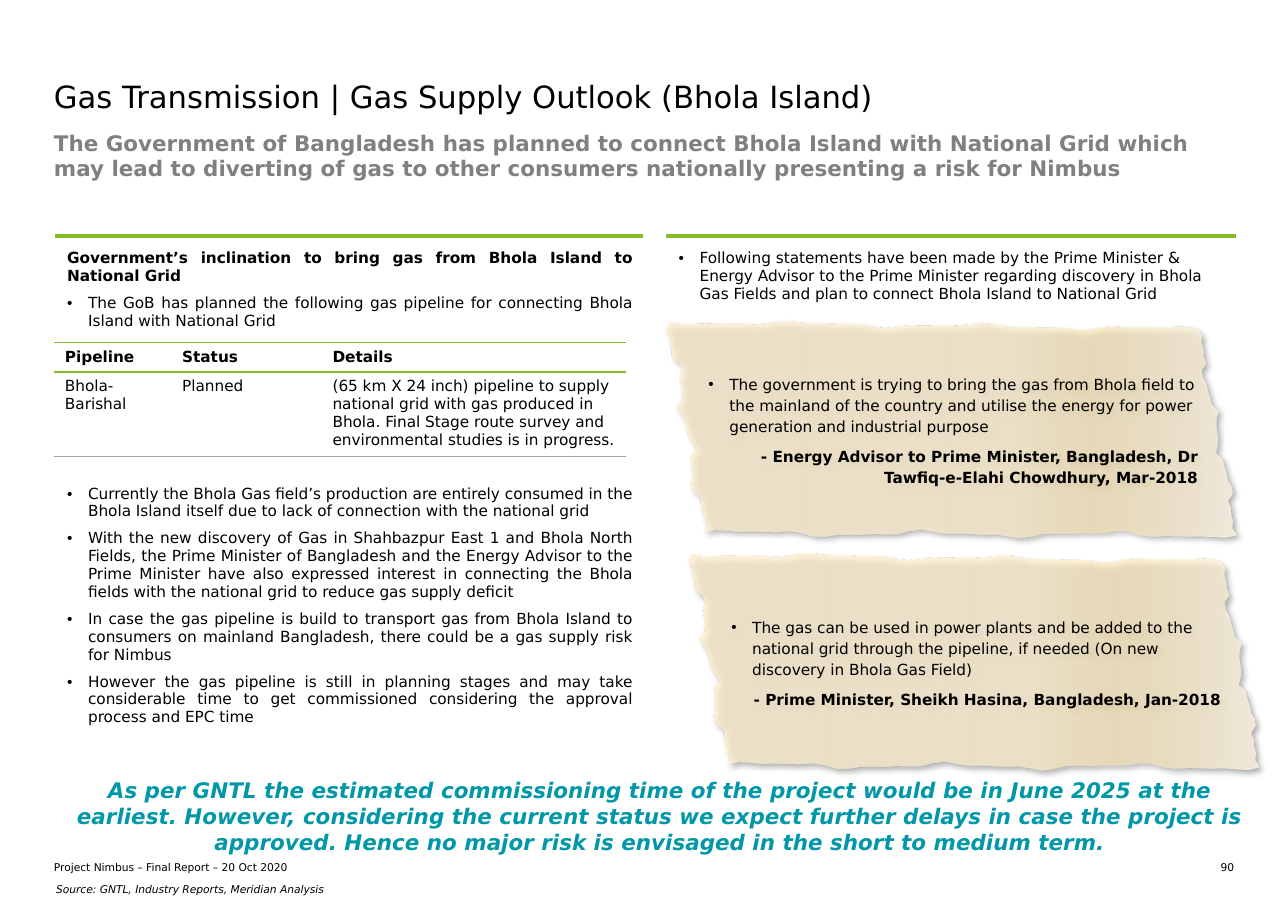
import math

import pptx
import pptx.util
import pptx.dml.color
import pptx.enum.text
import pptx.oxml
import pptx.oxml.ns

Pt = pptx.util.Pt
Inches = pptx.util.Inches
ALIGN = pptx.enum.text.PP_ALIGN
ANCHOR = pptx.enum.text.MSO_ANCHOR
FONT = "DejaVu Sans"
COLORS = {
    "text": "000000", "subtitle": "808080", "rule": "86BC25", "edge": "FFFFFF",
    "thin": "A5A5A5", "takeaway": "0097A9", "shadow": "000000",
    "paper": "FFF0CE", "fold": "FFE8B0", "light": "FFF7E7",
}
PAPER_STOPS = [("paper", 61, 73), ("fold", 75, 58), ("light", 100, 80)]
PAPER_CORNERS = [(0.01, 0.02), (0.93, 0.05), (1, 0.97), (0.07, 0.96)]
TEAR_STEPS = [44, 30, 44, 30]
TEAR_DEPTHS = [0.015, 0.01, 0.02, 0.013]
PIPELINE_COLUMNS = (0.205, 0.263, 0.532)
PIPELINE_ROWS = (0.26, 0.74)
PIPELINE_GAP = 95.4

prs = pptx.Presentation()
prs.slide_width = Inches(11.69)
prs.slide_height = Inches(8.27)


def within(box, x, y, w, h):
    left, top, width, height = box
    return (int(left + width * x), int(top + height * y), int(width * w), int(height * h))


SLIDE = (0, 0, prs.slide_width, prs.slide_height)


def share(x, y, w, h):
    return within(SLIDE, x / 100, y / 100, w / 100, h / 100)


def element(xml):
    return pptx.oxml.parse_xml(f'<a:part {pptx.oxml.ns.nsdecls("a")}>{xml}</a:part>')[0]


def rgb(color, alpha=100):
    return f'<a:srgbClr val="{COLORS[color]}"><a:alpha val="{alpha * 1000}"/></a:srgbClr>'


def fill_paragraph(p, text, size=10, color="text", bold=False, italic=False, align=ALIGN.LEFT,
                   before=0, after=0, line=None, bullet=False):
    p.alignment = align
    p.space_before, p.space_after = Pt(before), Pt(after)
    if line:
        p.line_spacing = line
    if bullet:
        pPr = p._p.get_or_add_pPr()
        pPr.set("marL", str(Inches(0.19)))
        pPr.set("indent", str(-Inches(0.19)))
        pPr.append(element('<a:buFont typeface="Arial"/>'))
        pPr.append(element('<a:buChar char="•"/>'))
    r = p.add_run()
    r.text = text
    r.font.name, r.font.size = FONT, Pt(size)
    r.font.bold, r.font.italic = bold, italic
    r.font.color.rgb = pptx.dml.color.RGBColor.from_string(COLORS[color])


def write(tf, items):
    for i, (text, style) in enumerate(items):
        p = tf.add_paragraph() if i else tf.paragraphs[0]
        fill_paragraph(p, text, **style)


def set_margins(holder, left, top, right, bottom):
    holder.margin_left, holder.margin_top = Inches(left), Inches(top)
    holder.margin_right, holder.margin_bottom = Inches(right), Inches(bottom)


def label(s, box, text, margins=(0, 0, 0, 0), anchor=ANCHOR.TOP, **style):
    tf = s.shapes.add_textbox(*box).text_frame
    tf.word_wrap = True
    tf.vertical_anchor = anchor
    set_margins(tf, *margins)
    write(tf, [(text, style)])


def borders(cell, lines):
    cell.fill.background()
    tcPr = cell._tc.get_or_add_tcPr()
    for i, (side, color, width) in enumerate(lines):
        paint = f"<a:solidFill>{rgb(color)}</a:solidFill>" if color else "<a:noFill/>"
        tcPr.insert(i, element(f'<a:ln{side} w="{Pt(width)}">{paint}</a:ln{side}>'))


def plain_table(s, box, rows, cols):
    table = s.shapes.add_table(rows, cols, *box).table
    table.first_row = table.horz_banding = False
    return table


def panel(s, box, items):
    cell = plain_table(s, box, 1, 1).cell(0, 0)
    borders(cell, [("L", "edge", 1), ("R", "edge", 1), ("T", "rule", 3), ("B", "edge", 3)])
    set_margins(cell, 0.12, 0.12, 0.1, 0.05)
    write(cell.text_frame, items)


def pipeline_table(s, box, rows):
    table = plain_table(s, box, len(rows), len(rows[0]))
    for col, part in zip(table.columns, PIPELINE_COLUMNS):
        col.width = int(box[2] * part)
    for row, part in zip(table.rows, PIPELINE_ROWS):
        row.height = int(box[3] * part)
    for i, texts in enumerate(rows):
        bottom = ("B", "thin", 0.5) if i else ("B", "rule", 1.25)
        for j, text in enumerate(texts):
            cell = table.cell(i, j)
            borders(cell, [("L", None, 0), ("R", None, 0), ("T", "rule", 1.25), bottom])
            set_margins(cell, 0.1, 0.05, 0.08, 0.05)
            write(cell.text_frame, [(text, dict(bold=i == 0))])


def ripple(t):
    waves = [(3, 0.5), (8, 0.3), (13, 0.2)]
    return sum(height * math.sin(2 * math.pi * count * t) for count, height in waves)


def torn_edge(start, end, steps, depth):
    (x1, y1), (x2, y2) = start, end
    across = abs(x2 - x1) > abs(y2 - y1)
    points = []
    for i in range(steps):
        t = i / steps
        x, y, tear = x1 + (x2 - x1) * t, y1 + (y2 - y1) * t, depth * ripple(t)
        points.append((x, y + tear) if across else (x + tear, y))
    return points


def stretch(values, start, length):
    low, high = min(values), max(values)
    return [start + length * (v - low) / (high - low) for v in values]


def torn_outline(box):
    x, y, w, h = box
    next_corners = PAPER_CORNERS[1:] + PAPER_CORNERS[:1]
    edges = zip(PAPER_CORNERS, next_corners, TEAR_STEPS, TEAR_DEPTHS)
    xs, ys = zip(*[point for edge in edges for point in torn_edge(*edge)])
    return list(zip(stretch(xs, x, w), stretch(ys, y, h)))


def torn_paper(s, box, quote, speaker):
    outline = torn_outline(box)
    builder = s.shapes.build_freeform(*outline[0])
    builder.add_line_segments(outline[1:], close=True)
    sp = builder.convert_to_shape()
    sp.line.fill.background()
    sp.shadow.inherit = False
    stops = "".join(f'<a:gs pos="{pos * 1000}">{rgb(color, alpha)}</a:gs>'
                    for color, pos, alpha in PAPER_STOPS)
    spPr = sp._element.spPr
    spPr.find(pptx.oxml.ns.qn("a:ln")).addprevious(element(
        f'<a:gradFill><a:gsLst>{stops}</a:gsLst><a:lin ang="0" scaled="0"/></a:gradFill>'))
    spPr.find(pptx.oxml.ns.qn("a:effectLst")).append(element(
        f'<a:outerShdw blurRad="{Pt(4)}" dist="{Pt(3)}" dir="2700000" algn="tl">'
        f'{rgb("shadow", 40)}</a:outerShdw>'))
    tf = sp.text_frame
    tf.word_wrap = True
    tf.vertical_anchor = ANCHOR.MIDDLE
    set_margins(tf, 0.39, 0.08, 0.35, 0.08)
    spacing = dict(line=1.14, after=6)
    write(tf, [(quote, dict(spacing, bullet=True)),
               (speaker, dict(spacing, bold=True, align=ALIGN.RIGHT))])


def heading(s, box):
    label(s, within(box, 0, 0, 1, 0.43),
          "Gas Transmission | Gas Supply Outlook (Bhola Island)", size=20)
    label(s, within(box, 0, 0.45, 1, 0.55),
          "The Government of Bangladesh has planned to connect Bhola Island with National Grid which "
          "may lead to diverting of gas to other consumers nationally presenting a risk for Nimbus",
          size=14, color="subtitle", bold=True)


def government_plan(s, box):
    body = dict(align=ALIGN.JUSTIFY, after=6)
    point = dict(body, bullet=True)
    panel(s, box, [
        ("Government’s inclination to bring gas from Bhola Island to National Grid",
         dict(body, bold=True)),
        ("The GoB has planned the following gas pipeline for connecting Bhola Island with "
         "National Grid", point),
        ("Currently the Bhola Gas field’s production are entirely consumed in the Bhola Island "
         "itself due to lack of connection with the national grid",
         dict(point, before=PIPELINE_GAP)),
        ("With the new discovery of Gas in Shahbazpur East 1 and Bhola North Fields, the Prime "
         "Minister of Bangladesh and the Energy Advisor to the Prime Minister have also expressed "
         "interest in connecting the Bhola fields with the national grid to reduce gas supply "
         "deficit", point),
        ("In case the gas pipeline is build to transport gas from Bhola Island to consumers on "
         "mainland Bangladesh, there could be a gas supply risk for Nimbus", point),
        ("However the gas pipeline is still in planning stages and may take considerable time to "
         "get commissioned considering the approval process and EPC time", point)])
    pipeline_table(s, within(box, 0, 0.21, 0.97, 0.22), [
        ("Pipeline", "Status", "Details"),
        ("Bhola-Barishal", "Planned",
         "(65 km X 24 inch) pipeline to supply national grid with gas produced in Bhola. Final "
         "Stage route survey and environmental studies is in progress.")])


def statements(s, box):
    panel(s, box, [
        ("Following statements have been made by the Prime Minister & Energy Advisor to the Prime "
         "Minister regarding discovery in Bhola Gas Fields and plan to connect Bhola Island to "
         "National Grid", dict(bullet=True, after=5))])
    quotes = [
        ("The government is trying to bring the gas from Bhola field to the mainland of the "
         "country and utilise the energy for power generation and industrial purpose",
         "- Energy Advisor to Prime Minister, Bangladesh, Dr Tawfiq-e-Elahi Chowdhury, Mar-2018"),
        ("The gas can be used in power plants and be added to the national grid through the "
         "pipeline, if needed (On new discovery in Bhola Gas Field)",
         "- Prime Minister, Sheikh Hasina, Bangladesh, Jan-2018")]
    for i, (quote, speaker) in enumerate(quotes):
        torn_paper(s, within(box, 0.04 * i, 0.13 + 0.355 * i, 1, 0.33), quote, speaker)


def footer(s):
    label(s, share(4.88, 84.75, 92.73, 9.79),
          "As per GNTL the estimated commissioning time of the project would be in June 2025 at the "
          "earliest. However, considering the current status we expect further delays in case the "
          "project is approved. Hence no major risk is envisaged in the short to medium term.",
          margins=(0.1, 0.05, 0.1, 0.05), size=14, color="takeaway", bold=True, italic=True,
          align=ALIGN.CENTER)
    label(s, share(4.19, 94.44, 41.32, 1.45), "Project Nimbus – Final Report – 20 Oct 2020",
          anchor=ANCHOR.BOTTOM, size=7)
    label(s, share(91.96, 94.44, 3.85, 1.45), "90", size=7, align=ALIGN.RIGHT)
    label(s, share(3.51, 96.01, 92.99, 3.02), "Source: GNTL, Industry Reports, Meridian Analysis",
          margins=(0.1, 0.1, 0.1, 0.1), anchor=ANCHOR.MIDDLE, size=7, italic=True, line=1.06)


def main():
    s = prs.slides.add_slide(prs.slide_layouts[6])
    heading(s, share(4.19, 8.59, 91.62, 12.57))
    government_plan(s, share(4.19, 25.92, 45.77, 55.62))
    statements(s, share(51.67, 25.92, 44.31, 71.95))
    footer(s)
    prs.save("out.pptx")


if __name__ == "__main__":
    main()
